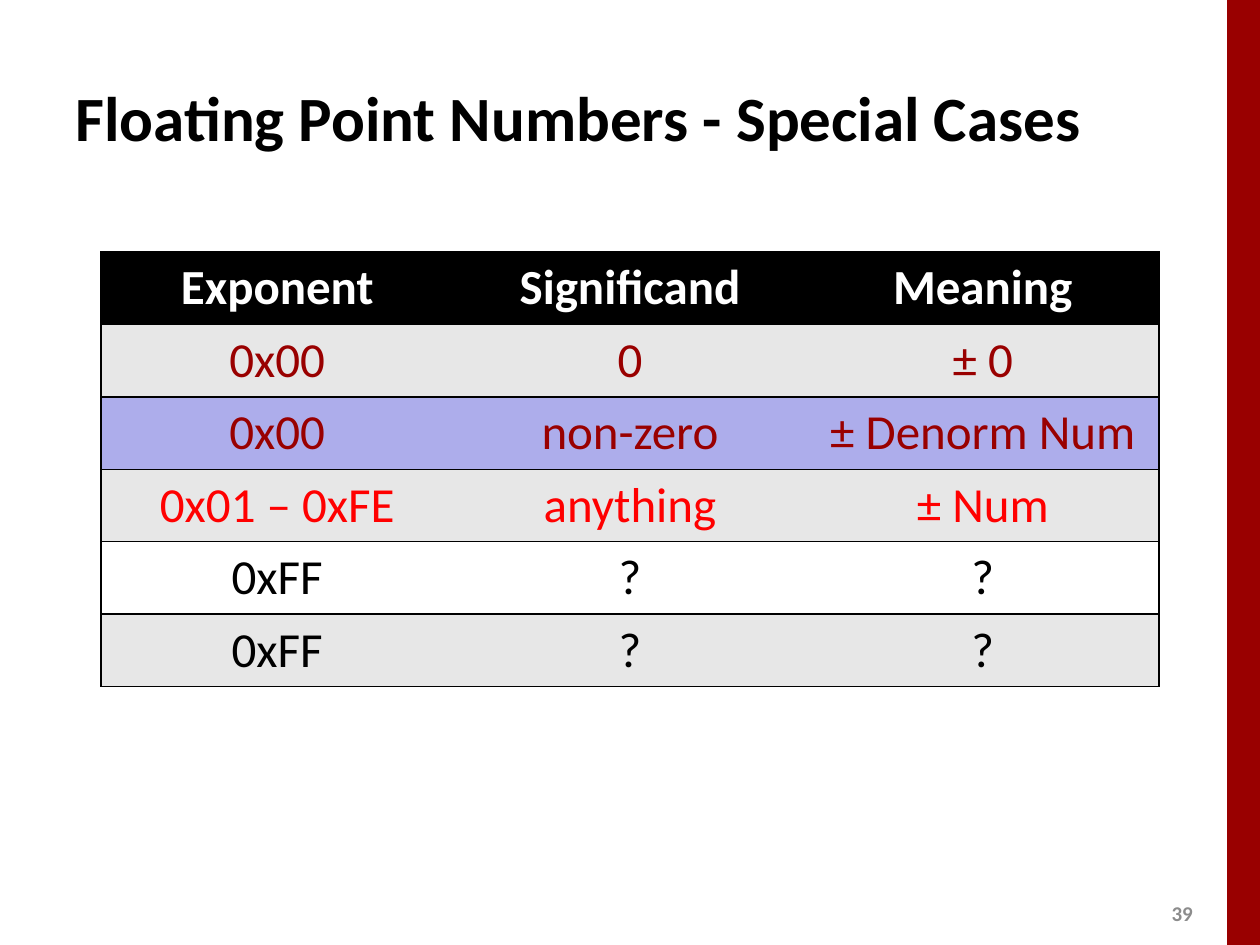
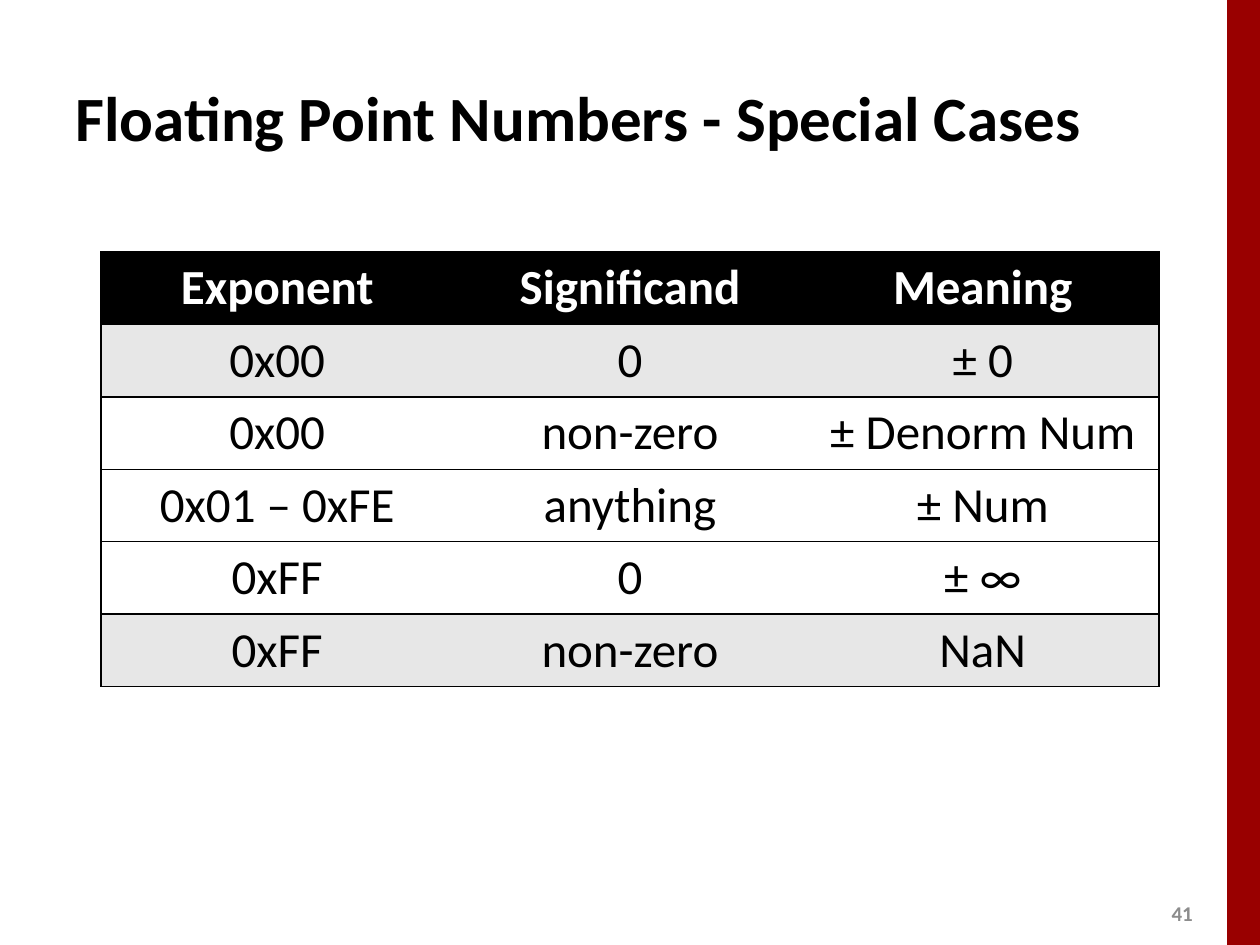
"""Build two slides on the special cases of floating point numbers."""
import lxml.etree
import pptx
import pptx.dml.color
import pptx.enum.shapes
import pptx.enum.text
import pptx.oxml.ns
import pptx.util

Inches, Pt = pptx.util.Inches, pptx.util.Pt
PP_ALIGN, MSO_ANCHOR = pptx.enum.text.PP_ALIGN, pptx.enum.text.MSO_ANCHOR
qn = pptx.oxml.ns.qn

COLORS = {
    "black": "000000", "white": "FFFFFF", "band": "990000", "number": "8C8C8C",
    "gray": "E7E7E7", "lilac": "ADADEB", "red": "FF0000",
}
FONT = "Calibri"
TITLE = "Floating Point Numbers - Special Cases"
HEADER = ("Exponent", "Significand", "Meaning")
W, H = 10, 7.5
BAND_W = 0.26
TABLE_X, TABLE_Y, COL_W, ROW_H = 0.8, 2, 2.8, 3.45 / 6

SLIDES = [
    ("39", [
        (("0x00", "0", "± 0"), "gray", "band"),
        (("0x00", "non-zero", "± Denorm Num"), "lilac", "band"),
        (("0x01 – 0xFE", "anything", "± Num"), "gray", "red"),
        (("0xFF", "?", "?"), "white", "black"),
        (("0xFF", "?", "?"), "gray", "black"),
    ]),
    ("41", [
        (("0x00", "0", "± 0"), "gray", "black"),
        (("0x00", "non-zero", "± Denorm Num"), None, "black"),
        (("0x01 – 0xFE", "anything", "± Num"), None, "black"),
        (("0xFF", "0", "± ∞"), "white", "black"),
        (("0xFF", "non-zero", "NaN"), "gray", "black"),
    ]),
]


def style(p, size, color, bold):
    for r in p.runs:
        r.font.name = FONT
        r.font.size = Pt(size)
        r.font.bold = bold
        r.font.color.rgb = pptx.dml.color.RGBColor.from_string(COLORS[color])


def set_borders(cell, sides):
    tc_pr = cell._tc.get_or_add_tcPr()
    for i, side in enumerate("LRTB"):
        ln = lxml.etree.Element(qn("a:ln" + side), w=str(Pt(1)))
        if side in sides:
            fill = lxml.etree.SubElement(ln, qn("a:solidFill"))
            lxml.etree.SubElement(fill, qn("a:srgbClr"), val=COLORS["black"])
        else:
            lxml.etree.SubElement(ln, qn("a:noFill"))
        tc_pr.insert(i, ln)


prs = pptx.Presentation()
prs.slide_width, prs.slide_height = Inches(W), Inches(H)

for number, cases in SLIDES:
    s = prs.slides.add_slide(prs.slide_layouts[5])

    band = s.shapes.add_shape(
        pptx.enum.shapes.MSO_SHAPE.RECTANGLE,
        Inches(W - BAND_W), 0, Inches(BAND_W), Inches(H))
    band.shadow.inherit = False
    band.fill.solid()
    band.fill.fore_color.rgb = pptx.dml.color.RGBColor.from_string(COLORS["band"])
    band.line.fill.background()

    sp = s.shapes.add_textbox(Inches(9.2), Inches(7.1), Inches(0.4), Inches(0.3))
    tf = sp.text_frame
    tf.word_wrap = True
    tf.vertical_anchor = MSO_ANCHOR.MIDDLE
    tf.text = number
    style(tf.paragraphs[0], 12, "number", True)

    title = s.shapes.title
    title.left, title.top = Inches(0.5), Inches(0.3)
    title.width, title.height = Inches(9), Inches(1.25)
    tf = title.text_frame
    tf.text = TITLE
    tf.vertical_anchor = MSO_ANCHOR.MIDDLE
    p = tf.paragraphs[0]
    p.alignment = PP_ALIGN.LEFT
    style(p, 36, "black", True)

    rows = [(HEADER, "black", "white")] + cases
    table = s.shapes.add_table(
        len(rows), len(HEADER), Inches(TABLE_X), Inches(TABLE_Y),
        Inches(COL_W * len(HEADER)), Inches(ROW_H * len(rows))).table
    table.horz_banding = False
    for i, (texts, fill, color) in enumerate(rows):
        table.rows[i].height = Inches(ROW_H)
        for j, text in enumerate(texts):
            cell = table.cell(i, j)
            if fill:
                cell.fill.solid()
                cell.fill.fore_color.rgb = pptx.dml.color.RGBColor.from_string(COLORS[fill])
            else:
                cell.fill.background()
            set_borders(cell, ("LTB", "TB", "RTB")[j])
            cell.text = text
            p = cell.text_frame.paragraphs[0]
            p.alignment = PP_ALIGN.CENTER
            style(p, 28, color, i == 0)

prs.save("out.pptx")
